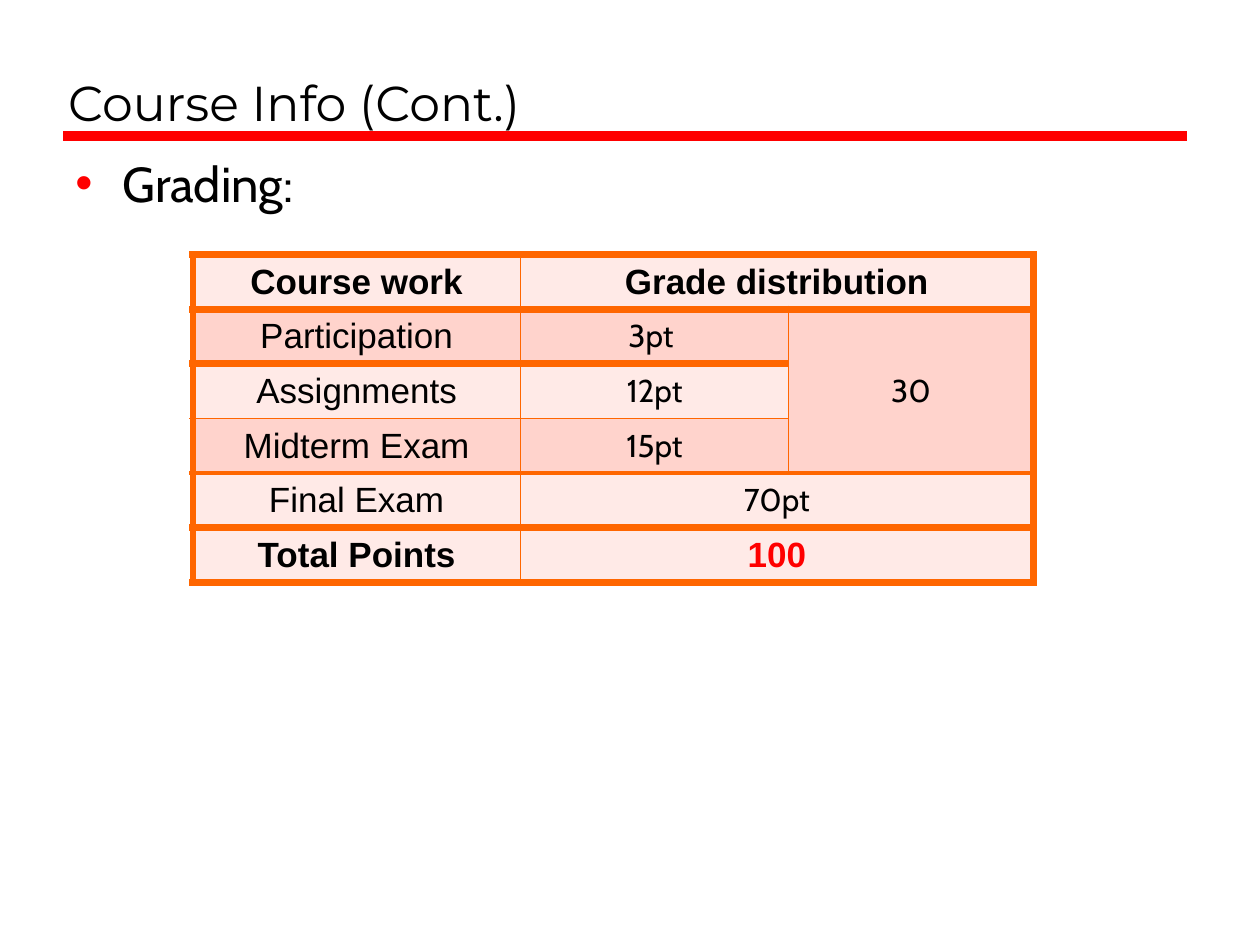
import pptx
import pptx.util
import pptx.dml.color
import pptx.enum.shapes
import pptx.enum.text
import pptx.oxml.ns
from dataclasses import dataclass
from lxml import etree

Cm = pptx.util.Cm
Pt = pptx.util.Pt
qn = pptx.oxml.ns.qn
Align = pptx.enum.text.PP_ALIGN
Anchor = pptx.enum.text.MSO_ANCHOR


@dataclass(frozen=True)
class Theme:
    ink: str = "000000"
    red: str = "FF0000"
    edge: str = "FF6600"
    pale: str = "FFEAE7"
    rose: str = "FFD3CC"
    head: str = "Montserrat"
    body: str = "Cabin"
    cell: str = "Arial"
    large: int = 28
    label: int = 20
    small: int = 18


THEME = Theme()

ROWS = [
    ("Course work", "Grade distribution", ""),
    ("Participation", "3pt ", "30"),
    ("Assignments", "12pt", ""),
    ("Midterm Exam", "15pt", ""),
    ("Final Exam", "70pt", ""),
    ("Total Points", "100", ""),
]
WIDTHS = (6.6, 5.41, 4.93)
HEIGHT = 1.1
SPANS = [(0, 1, 0, 2), (1, 2, 3, 2), (4, 1, 4, 2), (5, 1, 5, 2)]
ACROSS = (4.5, 4.5, 4.5, 1, 2.25, 4.5, 4.5)
DOWN = (4.5, 1, 1, 4.5)
TINTED = (1, 3)
BOLD = (0, 5)


def color(code):
    return pptx.dml.color.RGBColor.from_string(code)


def style(para, font, size, code=THEME.ink, bold=False):
    for run in para.runs:
        run.font.name = font
        run.font.size = Pt(size)
        run.font.bold = bold
        run.font.color.rgb = color(code)


def add_title(slide, text):
    title = slide.shapes.title
    title.left, title.top = Cm(1.12), Cm(0.43)
    title.width, title.height = Cm(22.78), Cm(2.34)
    frame = title.text_frame
    frame.text = text
    frame.vertical_anchor = Anchor.BOTTOM
    frame.paragraphs[0].alignment = Align.LEFT
    style(frame.paragraphs[0], THEME.head, THEME.large)


def add_rule(slide):
    rule = slide.shapes.add_connector(
        pptx.enum.shapes.MSO_CONNECTOR.STRAIGHT,
        Cm(1.27), Cm(2.74), Cm(23.93), Cm(2.74))
    rule.line.color.rgb = color(THEME.red)
    rule.line.width = Pt(6)
    etree.SubElement(rule._element.spPr, qn("a:effectLst"))


def add_bullet(slide, text):
    box = slide.shapes.add_textbox(Cm(1.27), Cm(2.97), Cm(22.7), Cm(15.67))
    frame = box.text_frame
    frame.word_wrap = True
    frame.text = text
    para = frame.paragraphs[0]
    para.space_before = Pt(5.6)
    style(para, THEME.body, THEME.large)
    props = para._p.get_or_add_pPr()
    props.set("marL", str(Cm(0.95)))
    props.set("indent", str(Cm(-0.95)))
    tint = etree.SubElement(props, qn("a:buClr"))
    etree.SubElement(tint, qn("a:srgbClr"), val=THEME.red)
    etree.SubElement(props, qn("a:buFont"), typeface="Arial")
    etree.SubElement(props, qn("a:buChar"), char="•")


def find_span(row, col):
    for span in SPANS:
        top, left, low, right = span
        if top <= row <= low and left <= col <= right:
            return span
    return row, col, row, col


def set_edges(cell, row, col):
    top, left, low, right = find_span(row, col)
    edges = {
        "a:lnL": DOWN[col] if col == left else 0,
        "a:lnR": DOWN[col + 1] if col == right else 0,
        "a:lnT": ACROSS[row] if row == top else 0,
        "a:lnB": ACROSS[row + 1] if row == low else 0,
    }
    if cell.is_merge_origin:
        edges["a:lnR"] = DOWN[right + 1]
        edges["a:lnB"] = ACROSS[low + 1]
    props = cell._tc.get_or_add_tcPr()
    for place, (tag, width) in enumerate(edges.items()):
        line = etree.Element(qn(tag), w=str(Pt(width)))
        if width:
            fill = etree.SubElement(line, qn("a:solidFill"))
            etree.SubElement(fill, qn("a:srgbClr"), val=THEME.edge)
        else:
            etree.SubElement(line, qn("a:noFill"))
        props.insert(place, line)


def fill_cell(cell, row, col, text):
    cell.fill.solid()
    cell.fill.fore_color.rgb = color(THEME.rose if row in TINTED else THEME.pale)
    set_edges(cell, row, col)
    if cell.is_spanned:
        return
    cell.text_frame.text = text
    cell.vertical_anchor = Anchor.MIDDLE
    para = cell.text_frame.paragraphs[0]
    para.alignment = Align.CENTER
    bold = row in BOLD
    if bold or col == 0:
        total = row == len(ROWS) - 1 and col > 0
        style(para, THEME.cell, THEME.label, THEME.red if total else THEME.ink, bold)
    else:
        style(para, THEME.body, THEME.small)


def add_grades(slide):
    table = slide.shapes.add_table(
        len(ROWS), len(WIDTHS), Cm(3.89), Cm(5.13),
        Cm(sum(WIDTHS)), Cm(HEIGHT * len(ROWS))).table
    table.first_row = table.horz_banding = False
    for col, width in zip(table.columns, WIDTHS):
        col.width = Cm(width)
    for row in table.rows:
        row.height = Cm(HEIGHT)
    for top, left, low, right in SPANS:
        table.cell(top, left).merge(table.cell(low, right))
    for row, texts in enumerate(ROWS):
        for col, text in enumerate(texts):
            fill_cell(table.cell(row, col), row, col, text)


def main():
    deck = pptx.Presentation()
    deck.slide_width, deck.slide_height = Cm(25.4), Cm(19.05)
    slide = deck.slides.add_slide(deck.slide_layouts[5])
    add_rule(slide)
    add_title(slide, "Course Info (Cont.)")
    add_bullet(slide, "Grading:")
    add_grades(slide)
    deck.save("out.pptx")


if __name__ == "__main__":
    main()
